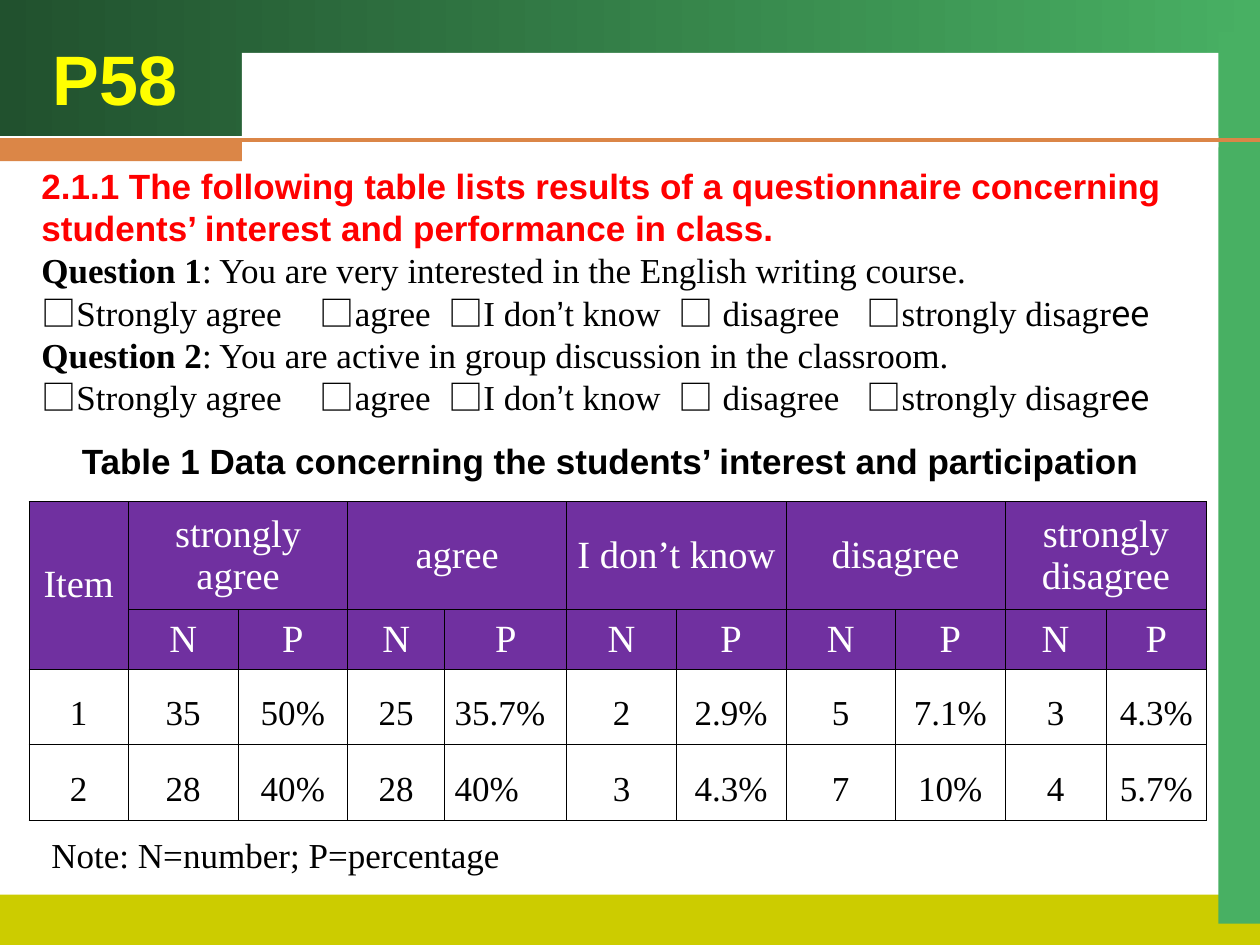
from lxml import etree
from pptx import Presentation
from pptx import util as u
from pptx.dml.color import RGBColor
from pptx.enum import shapes, text
from pptx.oxml import ns

COLORS = {
    "dark_green": "21512E", "green": "48B063", "olive": "CCCC00",
    "orange": "DB8647", "purple": "7030A0", "red": "FF0000",
    "yellow": "FFFF00", "white": "FFFFFF", "black": "000000",
}
SANS, SERIF, CJK = "Arial", "Times New Roman", "Noto Sans CJK SC"
GRID_COLUMNS, GRID_ROWS = 1000, 750
CENTER, MIDDLE = text.PP_ALIGN.CENTER, text.MSO_ANCHOR.MIDDLE


def rgb(name):
    return RGBColor.from_string(COLORS[name])


def add_child(parent, tag, **attributes):
    return etree.SubElement(parent, ns.qn(tag), attributes)


def write(paragraph, content, size=20, font=SERIF, color="black", bold=False,
          align=None, spacing=None, tabs=()):
    """Fill a paragraph with a string or a list of (text, format changes)."""
    if tabs:
        tab_list = add_child(paragraph._p.get_or_add_pPr(), "a:tabLst")
        for position in tabs:
            add_child(tab_list, "a:tab", pos=str(u.Inches(position)), algn="l")
    paragraph.alignment = align
    paragraph.line_spacing = spacing
    runs = [(content, {})] if isinstance(content, str) else content
    for words, changes in runs:
        style = {"font": font, "bold": bold, **changes}
        run = paragraph.add_run()
        run.text = words
        run.font.size = u.Pt(size)
        run.font.bold = style["bold"]
        run.font.color.rgb = rgb(color)
        run.font.name = style["font"]
        add_child(run._r.get_or_add_rPr(), "a:ea", typeface=style["font"])


class SlideBuilder:
    def __init__(self, presentation):
        self.slide = presentation.slides.add_slide(presentation.slide_layouts[6])
        self.column = presentation.slide_width / GRID_COLUMNS
        self.row = presentation.slide_height / GRID_ROWS

    def across(self, columns):
        return u.Emu(round(columns * self.column))

    def down(self, rows):
        return u.Emu(round(rows * self.row))

    def area(self, left, top, width, height):
        return self.across(left), self.down(top), self.across(width), self.down(height)

    def rectangle(self, area, *colors):
        """Draw a plain rectangle; two colours make a left-to-right gradient."""
        shape = self.slide.shapes.add_shape(
            shapes.MSO_SHAPE.RECTANGLE, *self.area(*area))
        shape.shadow.inherit = False
        shape.line.fill.background()
        if len(colors) == 1:
            shape.fill.solid()
            shape.fill.fore_color.rgb = rgb(colors[0])
        else:
            shape.fill.gradient()
            shape.fill.gradient_angle = 0
            for stop, color in zip(shape.fill.gradient_stops, colors):
                stop.color.rgb = rgb(color)

    def rule(self, row, color, weight):
        line = self.slide.shapes.add_connector(
            shapes.MSO_CONNECTOR.STRAIGHT, 0, self.down(row),
            self.across(GRID_COLUMNS), self.down(row))
        line.line.color.rgb = rgb(color)
        line.line.width = u.Pt(weight)
        add_child(line._element.spPr, "a:effectLst")

    def text_box(self, area, paragraphs, anchor=text.MSO_ANCHOR.TOP, wrap=True):
        frame = self.slide.shapes.add_textbox(*self.area(*area)).text_frame
        frame.word_wrap = wrap
        frame.vertical_anchor = anchor
        for index, (content, style) in enumerate(paragraphs):
            paragraph = frame.add_paragraph() if index else frame.paragraphs[0]
            write(paragraph, content, **style)

    def table(self, area, widths, heights):
        frame = self.slide.shapes.add_table(
            len(heights), len(widths), *self.area(*area))
        table = frame.table
        table.first_row = table.horz_banding = False
        for column, width in zip(table.columns, widths):
            column.width = self.across(width)
        for row, height in zip(table.rows, heights):
            row.height = self.down(height)
        for cell in table.iter_cells():
            cell.margin_left = cell.margin_right = u.Inches(0.08)
            self.border(cell)
            cell.fill.background()
        return table

    def border(self, cell):
        properties = cell._tc.get_or_add_tcPr()
        for side in ("a:lnL", "a:lnR", "a:lnT", "a:lnB"):
            line = add_child(properties, side, w=str(u.Pt(0.45)))
            fill = add_child(line, "a:solidFill")
            add_child(fill, "a:srgbClr", val=COLORS["black"])

    def header_cell(self, cell, content):
        cell.fill.solid()
        cell.fill.fore_color.rgb = rgb("purple")
        cell.vertical_anchor = MIDDLE
        write(cell.text_frame.paragraphs[0], content, size=22, color="white",
              align=CENTER, spacing=u.Pt(24))


def add_frame(builder):
    builder.rectangle((0, 0, 1000, 108), "dark_green", "green")
    builder.rectangle((0, 710, 1000, 40), "olive")
    builder.rectangle((967, 25, 33, 708), "green")
    builder.rectangle((192, 42, 775, 75), "white")
    builder.rule(111, "orange", 2.25)
    builder.rectangle((0, 111, 192, 17), "orange")


def add_questions(builder):
    box = ("□", {"font": CJK})
    options = [
        box, ("Strongly agree\t", {}), box, ("agree\t", {}),
        box, ("I don", {}), ("’", {"font": SANS}), ("t know\t", {}),
        box, (" disagree\t", {}), box, ("strongly disagr", {}), ("ee", {"font": CJK}),
    ]
    body = {"spacing": u.Pt(24)}
    paragraphs = [(
        "2.1.1 The following table lists results of a questionnaire concerning "
        "students’ interest and performance in class.",
        {"font": SANS, "color": "red", "bold": True, **body})]
    questions = ("You are very interested in the English writing course.",
                 "You are active in group discussion in the classroom.")
    for number, question in enumerate(questions, 1):
        title = (f"Question {number}", {"bold": True})
        paragraphs.append(([title, (f": {question}", {})], body))
        paragraphs.append((options, {"tabs": (2.21, 3.23, 5.06, 6.55), **body}))
    builder.text_box((23, 126, 938, 210), paragraphs, anchor=MIDDLE)


def add_results(builder):
    answers = ("strongly agree", "agree", "I don’t know", "disagree",
               "strongly disagree")
    results = (
        ("1", "35", "50%", "25", "35.7%", "2", "2.9%", "5", "7.1%", "3", "4.3%"),
        ("2", "28", "40%", "28", "40%", "3", "4.3%", "7", "10%", "4", "5.7%"),
    )
    table = builder.table((23, 398, 933, 253),
                          [79, 87, 87, 77, 97, 87, 87, 87, 87, 80, 80],
                          [86, 47, 60, 60])
    table.cell(0, 0).merge(table.cell(1, 0))
    builder.header_cell(table.cell(0, 0), "Item")
    for index, answer in enumerate(answers):
        first = 1 + 2 * index
        table.cell(0, first).merge(table.cell(0, first + 1))
        builder.header_cell(table.cell(0, first), answer)
        for offset, label in enumerate("NP"):
            builder.header_cell(table.cell(1, first + offset), label)
    agree_percentage = 4
    for row, values in enumerate(results, 2):
        for column, value in enumerate(values):
            align = text.PP_ALIGN.JUSTIFY if column == agree_percentage else CENTER
            write(table.cell(row, column).text_frame.paragraphs[0], value,
                  align=align, spacing=1.5)


def main():
    presentation = Presentation()
    presentation.slide_width, presentation.slide_height = u.Inches(10), u.Inches(7.5)
    builder = SlideBuilder(presentation)
    add_frame(builder)
    add_questions(builder)
    builder.text_box((39, 344, 891, 44), [(
        "Table 1 Data concerning the students’ interest and participation",
        {"font": SANS, "bold": True, "align": CENTER})])
    add_results(builder)
    builder.text_box((31, 656, 414, 44), [("Note: N=number; P=percentage", {})],
                     anchor=MIDDLE)
    builder.text_box((32, 23, 119, 77), [(
        "P58", {"size": 40, "font": SANS, "color": "yellow", "bold": True})],
        wrap=False)
    presentation.save("out.pptx")


if __name__ == "__main__":
    main()
